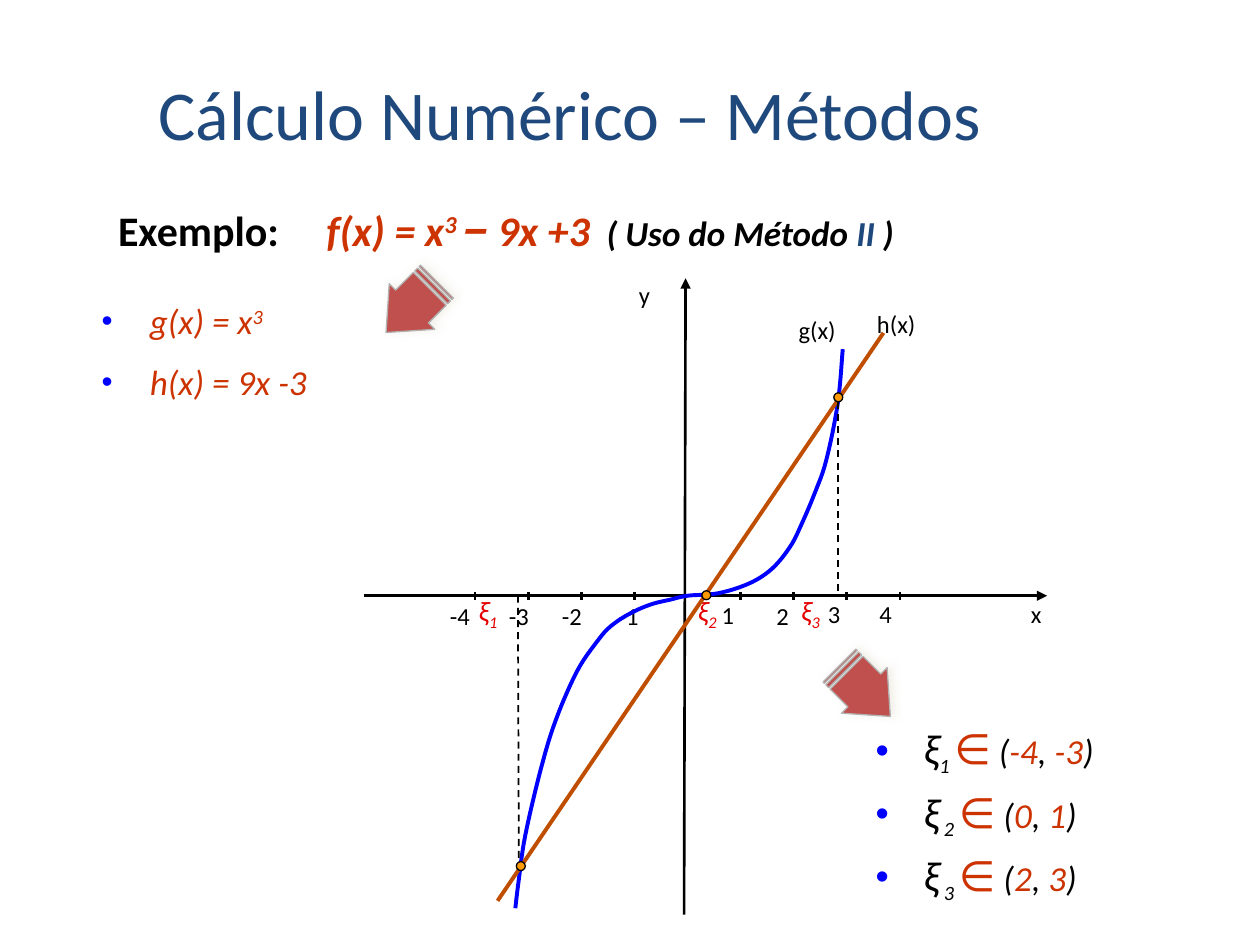
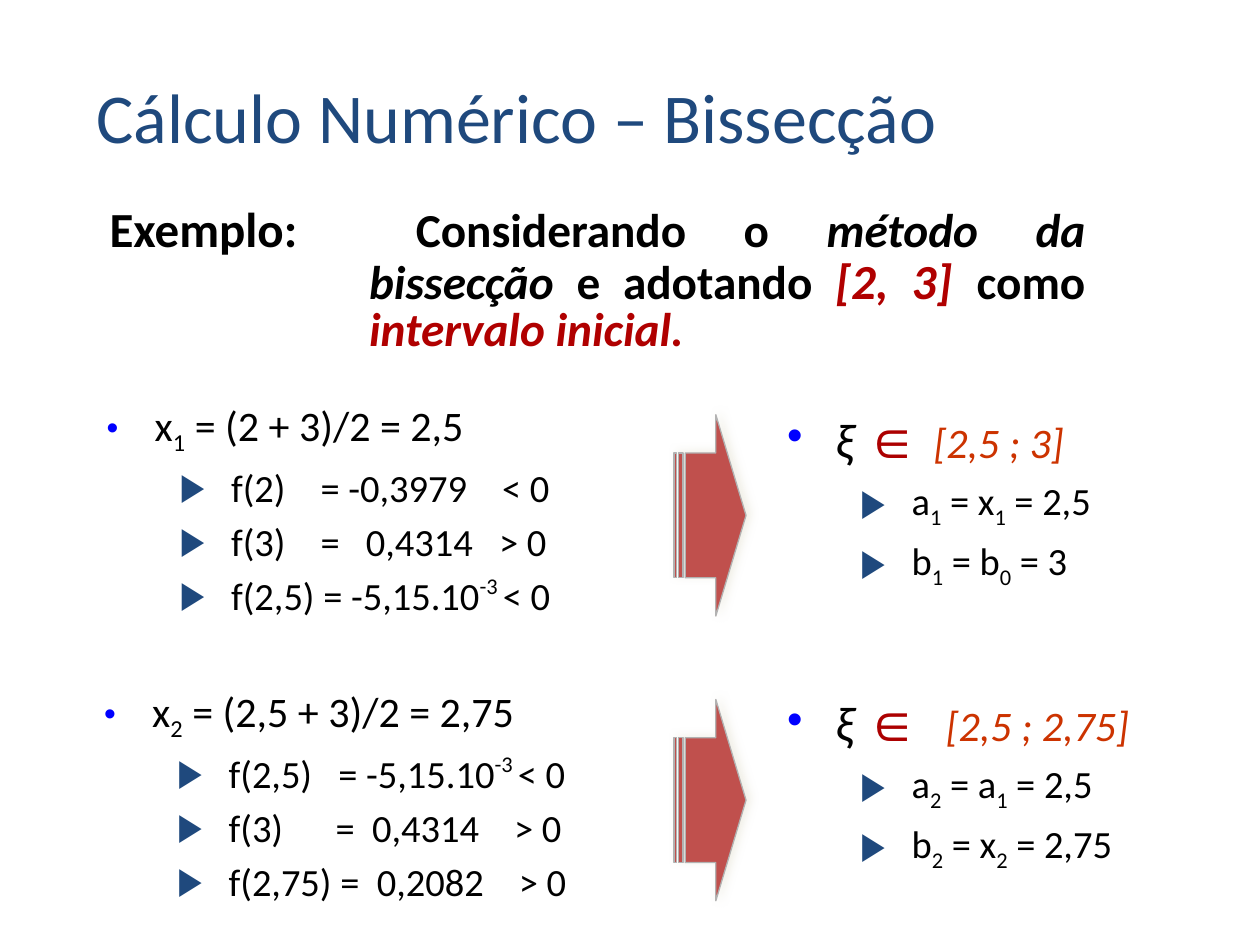
from dataclasses import dataclass

from lxml.etree import SubElement
from pptx import Presentation
from pptx.dml.color import RGBColor
from pptx.enum.dml import MSO_LINE_DASH_STYLE as Dash
from pptx.enum.shapes import MSO_CONNECTOR as Connector, MSO_SHAPE as Shape
from pptx.enum.text import MSO_ANCHOR as Anchor, PP_ALIGN as Align
from pptx.oxml.ns import qn
from pptx.util import Cm, Pt

BLACK = RGBColor(0x00, 0x00, 0x00)
NAVY = RGBColor(0x1F, 0x49, 0x7D)
BLUE = RGBColor(0x00, 0x00, 0xFF)
ORANGE_RED = RGBColor(0xCC, 0x33, 0x00)
ROOT_RED = RGBColor(0xE4, 0x00, 0x00)
DARK_RED = RGBColor(0xB0, 0x00, 0x00)
MEMBER_RED = RGBColor(0xAC, 0x00, 0x00)
LINE_BROWN = RGBColor(0xC0, 0x4E, 0x00)
DOT_ORANGE = RGBColor(0xFF, 0x99, 0x00)
ARROW_RED = RGBColor(0xC0, 0x50, 0x4D)
ARROW_EDGE = RGBColor(0xB2, 0xB2, 0xB2)
SHADOW = "EEECE1"
FONT = "Calibri"


@dataclass
class Span:
    """A run of text; base is its baseline shift in percent, gap its tracking in points."""
    text: str
    size: int
    color: RGBColor = BLACK
    style: str = ""
    base: int = 0
    face: str = ""
    gap: int = 0


@dataclass
class Layout:
    """Paragraph layout: hanging indent in cm, bullet as (symbol, colour, percent)."""
    left: float = 0
    hang: float = 0
    bullet: tuple = ()
    tab: float = 0
    spacing: float = 0
    before: float = 0
    align: Align = Align.JUSTIFY


TITLE = Layout(align=Align.LEFT)
LABEL = Layout(align=Align.LEFT)
FORMULA = Layout(1.5, 1.5, tab=4.5, spacing=0.8)
STATEMENT = Layout(5.23, 5.23, tab=4.5, spacing=0.8)
POINT = Layout(0.97, 0.97, ("•", BLUE, 90))
SPACED_POINT = Layout(0.97, 0.97, ("•", BLUE, 90), before=10.5)
STEP = Layout(0.97, 0.97, ("•", BLUE, 80))
DETAIL = Layout(2.51, 1.04, ("▶", NAVY, 100))

# Slide 1: graphical method
FORMULA_SPANS = [
    Span("Exemplo:", 24, style="b"), Span("\t ", 20, style="b"),
    Span("f(x) = x", 24, ORANGE_RED, "bi"), Span("3 ", 24, ORANGE_RED, "bi", 30),
    Span("–", 24, ORANGE_RED, "bi", face="Roboto"), Span(" 9x +3", 24, ORANGE_RED, "bi"),
    Span(" ", 20, gap=5), Span("( Uso do Método ", 20, style="bi"),
    Span("II ", 20, NAVY, "bi"), Span(")", 20, style="bi"),
]
SPLIT = [
    (POINT, [Span("g(x) = x", 20, ORANGE_RED, "i"), Span("3", 20, ORANGE_RED, "i", 30)]),
    (SPACED_POINT, [Span("h(x) = 9x -3", 20, ORANGE_RED, "i")]),
]
ROOT_INTERVALS = [("", "1 ", "-4", " -3"), (" ", "2 ", "0", " 1"), (" ", "3 ", "2", " 3")]

ORIGIN_X, AXIS_Y, UNIT = 13.86, 12.01, 1.07
AXES = [(13.79, 18.44, 13.82, 5.61), (7.34, AXIS_Y, 21.11, AXIS_Y)]
DROPS = [(10.44, AXIS_Y, 10.46, 17.58), (16.89, 8.1, 16.89, AXIS_Y)]
H_LINE = (10.03, 18.16, 17.81, 6.71)
ROOT_DOTS = [(10.5, 17.46), (14.24, 12.0), (16.9, 8.01)]
G_CURVE = [
    (10.39, 18.31), (10.46, 17.73), (10.59, 16.84), (10.9, 15.52), (11.2, 14.53),
    (11.63, 13.54), (12.04, 12.93), (12.32, 12.62), (12.7, 12.37), (13.11, 12.19),
    (13.51, 12.09), (13.87, 12.01), (14.48, 11.96), (15.11, 11.76), (15.57, 11.46),
    (15.93, 11.02), (16.15, 10.59), (16.43, 9.93), (16.66, 9.27), (16.89, 8.13),
    (16.99, 7.04),
]
GRAPH_LABELS = [
    ("-4", 9.07, 12.12), ("-3", 10.26, 12.12), ("-2", 11.33, 12.12), ("-1", 12.47, 12.12),
    ("1", 14.55, 12.09), ("2", 15.65, 12.12), ("3", 16.69, 12.07), ("4", 17.73, 12.07),
    ("x", 20.78, 12.07), ("y", 12.88, 5.64), ("g(x)", 16.1, 6.35), ("h(x)", 17.68, 6.22),
]
ROOT_LABELS = [("1", 9.65), ("2", 14.07), ("3", 16.15)]

# Slide 2: bisection
STATEMENT_SPANS = [
    Span("Exemplo: ", 28, style="b"), Span("\t", 32, style="b"),
    Span("Considerando o ", 27, style="b"), Span("método da bissecção ", 27, style="bi"),
    Span("e adotando ", 27, style="b"), Span("[2, 3]", 28, DARK_RED, "bi"),
    Span(" ", 31, style="b"), Span("como ", 27, style="b"),
    Span("intervalo inicial.", 27, DARK_RED, "bi"),
]
# Each detail: function, gap, value, exponent, gap, sign; a gap counts widths of a space.
# Each bound: alternating normal and subscript parts.
ITERATIONS = [
    dict(step=["x", "1", " = (2 + 3)/2 = 2,5"], at=(1.9, 7.92, 10.52, 4.83),
         details=[("f(2)", 4, "=", 1, "-0,3979", "", 4, "< 0"),
                  ("f(3)", 4, "=", 3, "0,4314", "", 3, "> 0"),
                  ("f(2,5)", 1, "=", 1, "-5,15.10", "-3 ", 0, "< 0")],
         interval="[2,5 ; 3]", interval_gap=1, result_at=(15.62, 7.98, 8.66, 4.72),
         bounds=[["a", "1", " = x", "1", " = 2,5"], ["b", "1", " = b", "0", " = 3"]],
         arrow_top=8.36),
    dict(step=["x", "2", " = (2,5 + 3)/2 = 2,75"], at=(1.85, 13.69, 11.66, 4.83),
         details=[("f(2,5)", 3, "=", 1, "-5,15.10", "-3 ", 0, "< 0"),
                  ("f(3)", 6, "=", 2, "0,4314", "", 4, "> 0"),
                  ("f(2,75)", 1, "=", 2, "0,2082", "", 4, "> 0")],
         interval="[2,5 ; 2,75]", interval_gap=2, result_at=(15.62, 13.69, 8.76, 4.83),
         bounds=[["a", "2", " = a", "1", " = 2,5"], ["b", "2", " = x", "2", " = 2,75"]],
         arrow_top=14.1),
]


def space(widths, size):
    """One space tracked out to the given number of space widths."""
    return [Span(" ", size, gap=round((widths - 1) * size * 0.226))] if widths else []


def subscripted(parts, size):
    return [Span(part, size, base=-25 if i % 2 else 0) for i, part in enumerate(parts)]


def detail_spans(name, gap, equals, value_gap, value, exponent, sign_gap, sign, size=22):
    raised = [Span(exponent, size, base=42)] if exponent else []
    return [Span(name, size), *space(gap, size), Span(equals, size), *space(value_gap, size),
            Span(value, size), *raised, *space(sign_gap, size), Span(sign, size)]


def lay_out(para, layout):
    props = para._p.get_or_add_pPr()
    if layout.left:
        props.set("marL", str(Cm(layout.left)))
        props.set("indent", str(-Cm(layout.hang)))
    if not layout.before:
        before = SubElement(props, qn("a:spcBef"))
        SubElement(before, qn("a:spcPct"), val="20000")
    if layout.bullet:
        symbol, color, percent = layout.bullet
        SubElement(SubElement(props, qn("a:buClr")), qn("a:srgbClr"), val=str(color))
        SubElement(props, qn("a:buSzPct"), val=str(percent * 1000))
        SubElement(props, qn("a:buFont"), typeface="Arial")
        SubElement(props, qn("a:buChar"), char=symbol)
    else:
        SubElement(props, qn("a:buNone"))
    if layout.tab:
        tabs = SubElement(props, qn("a:tabLst"))
        SubElement(tabs, qn("a:tab"), pos=str(Cm(layout.tab)), algn="l")
    if layout.before:
        para.space_before = Pt(layout.before)
    if layout.spacing:
        para.line_spacing = layout.spacing
    para.alignment = layout.align
    para.font.name = FONT


def add_text(page, at, paragraphs, anchor=Anchor.TOP, inset=True):
    box = page.shapes.add_textbox(*map(Cm, at))
    frame = box.text_frame
    frame.word_wrap = inset
    frame.vertical_anchor = anchor
    if not inset:
        frame.margin_left = frame.margin_right = frame.margin_top = frame.margin_bottom = 0
    for i, (layout, spans) in enumerate(paragraphs):
        para = frame.add_paragraph() if i else frame.paragraphs[0]
        lay_out(para, layout)
        for span in spans:
            run = para.add_run()
            run.text = span.text
            run.font.size = Pt(span.size)
            run.font.color.rgb = span.color
            run.font.bold = "b" in span.style
            run.font.italic = "i" in span.style
            if span.face:
                run.font.name = span.face
            if span.base:
                run._r.get_or_add_rPr().set("baseline", str(span.base * 1000))
            if span.gap:
                run._r.get_or_add_rPr().set("spc", str(span.gap * 100))


def add_title(page, text, left, top):
    add_text(page, (left, top, 21.64, 1.78), [(TITLE, [Span(text, 40, NAVY)])], Anchor.BOTTOM)


def add_label(page, left, top, spans):
    add_text(page, (left, top, 0.8, 0.7), [(LABEL, spans)], inset=False)


def add_line(page, ends, width=1.5, color=BLACK, arrow=False, dashed=False):
    line = page.shapes.add_connector(Connector.STRAIGHT, *map(Cm, ends))
    line.line.color.rgb = color
    line.line.width = Pt(width)
    if dashed:
        line.line.dash_style = Dash.DASH
    if arrow:
        SubElement(line.line._get_or_add_ln(), qn("a:tailEnd"), type="triangle")
    SubElement(line._element.spPr, qn("a:effectLst"))


def add_filled(page, kind, at, fill, edge):
    shape = page.shapes.add_shape(kind, *map(Cm, at))
    shape.shadow.inherit = False
    shape.fill.solid()
    shape.fill.fore_color.rgb = fill
    shape.line.color.rgb = edge
    shape.line.width = Pt(0.75)
    return shape


def add_striped_arrow(page, at, body, head, rotation=0):
    arrow = add_filled(page, Shape.STRIPED_RIGHT_ARROW, at, ARROW_RED, ARROW_EDGE)
    arrow.adjustments[0], arrow.adjustments[1] = body, head
    arrow.rotation = rotation
    effects = arrow._element.spPr.find(qn("a:effectLst"))
    shadow = SubElement(effects, qn("a:outerShdw"), blurRad=str(Pt(5)), dist=str(Pt(2.3)),
                        dir=str(335 * 60000), rotWithShape="0")
    color = SubElement(shadow, qn("a:srgbClr"), val=SHADOW)
    SubElement(color, qn("a:alpha"), val="75000")


def smooth(points, pieces=6):
    """Catmull-Rom curve through the points, as many short segments."""
    padded = [points[0], *points, points[-1]]
    curve = [points[0]]
    for a, b, c, d in zip(padded, padded[1:], padded[2:], padded[3:]):
        for i in range(1, pieces + 1):
            t = i / pieces
            curve.append(tuple(
                0.5 * (2 * q + (r - p) * t + (2 * p - 5 * q + 4 * r - s) * t ** 2
                       + (3 * q - p - 3 * r + s) * t ** 3)
                for p, q, r, s in zip(a, b, c, d)))
    return curve


def add_curve(page, points):
    start, *rest = [(Cm(x), Cm(y)) for x, y in smooth(points)]
    builder = page.shapes.build_freeform(*start)
    builder.add_line_segments(rest, close=False)
    curve = builder.convert_to_shape()
    curve.shadow.inherit = False
    curve.fill.background()
    curve.line.color.rgb = BLUE
    curve.line.width = Pt(2.25)


def draw_graph(page):
    for axis in AXES:
        add_line(page, axis, arrow=True)
    for n in (-4, -3, -2, -1, 1, 2, 3, 4):
        x = ORIGIN_X + n * UNIT
        add_line(page, (x, AXIS_Y - 0.07, x, AXIS_Y + 0.08))
    for text, left, top in GRAPH_LABELS:
        add_label(page, left, top, [Span(text, 14)])
    for number, left in ROOT_LABELS:
        add_label(page, left, 11.96, [Span("ξ", 16, ROOT_RED, "i"),
                                      Span(number, 16, ROOT_RED, "i", -25)])
    add_curve(page, G_CURVE)
    add_line(page, H_LINE, 2.25, LINE_BROWN)
    for drop in DROPS:
        add_line(page, drop, 1, dashed=True)
    for x, y in ROOT_DOTS:
        add_filled(page, Shape.OVAL, (x - 0.09, y - 0.09, 0.18, 0.18), DOT_ORANGE, BLACK)


def build_methods(page):
    add_text(page, (2.13, 4.19, 21.41, 1.37), [(FORMULA, FORMULA_SPANS)])
    add_title(page, "Cálculo Numérico – Métodos", 2.95, 1.47)
    for left, top, rotation in ((16.71, 13.28, 45), (7.57, 5.54, 135)):
        add_striped_arrow(page, (left, top, 1.45, 1.3), 0.72, 0.57, rotation)
    add_text(page, (1.8, 5.92, 6.81, 2.64), SPLIT)
    roots = []
    for lead, number, low, high in ROOT_INTERVALS:
        roots.append((POINT, [
            Span("ξ", 24, style="i"), Span(lead + number, 20, style="i", base=-25),
            Span("∈", 24, ORANGE_RED), Span(" (", 20, style="i"),
            Span(low, 20, ORANGE_RED, "i"), Span(",", 20, style="i"),
            Span(high, 20, ORANGE_RED, "i"), Span(")", 20, style="i")]))
    add_text(page, (17.4, 14.45, 5.99, 3.73), roots)
    draw_graph(page)


def build_bisection(page):
    add_title(page, "Cálculo Numérico – Bissecção", 1.7, 1.52)
    add_text(page, (1.96, 3.99, 20.17, 3.35), [(STATEMENT, STATEMENT_SPANS)])
    for item in ITERATIONS:
        add_striped_arrow(page, (13.59, item["arrow_top"], 1.45, 4.06), 0.62, 0.42)
        add_text(page, item["at"], [(STEP, subscripted(item["step"], 24))]
                 + [(DETAIL, detail_spans(*detail)) for detail in item["details"]])
        member = [Span("ξ ", 28, style="i"), Span("∈", 32, MEMBER_RED, "i", face="Arial"),
                  *space(item["interval_gap"], 32),
                  Span(item["interval"], 24, ORANGE_RED, "i")]
        add_text(page, item["result_at"], [(POINT, member)]
                 + [(DETAIL, subscripted(bound, 22)) for bound in item["bounds"]])


def main():
    deck = Presentation()
    deck.slide_width, deck.slide_height = Cm(25.4), Cm(19.05)
    for build in (build_methods, build_bisection):
        build(deck.slides.add_slide(deck.slide_layouts[6]))
    deck.save("out.pptx")


if __name__ == "__main__":
    main()
